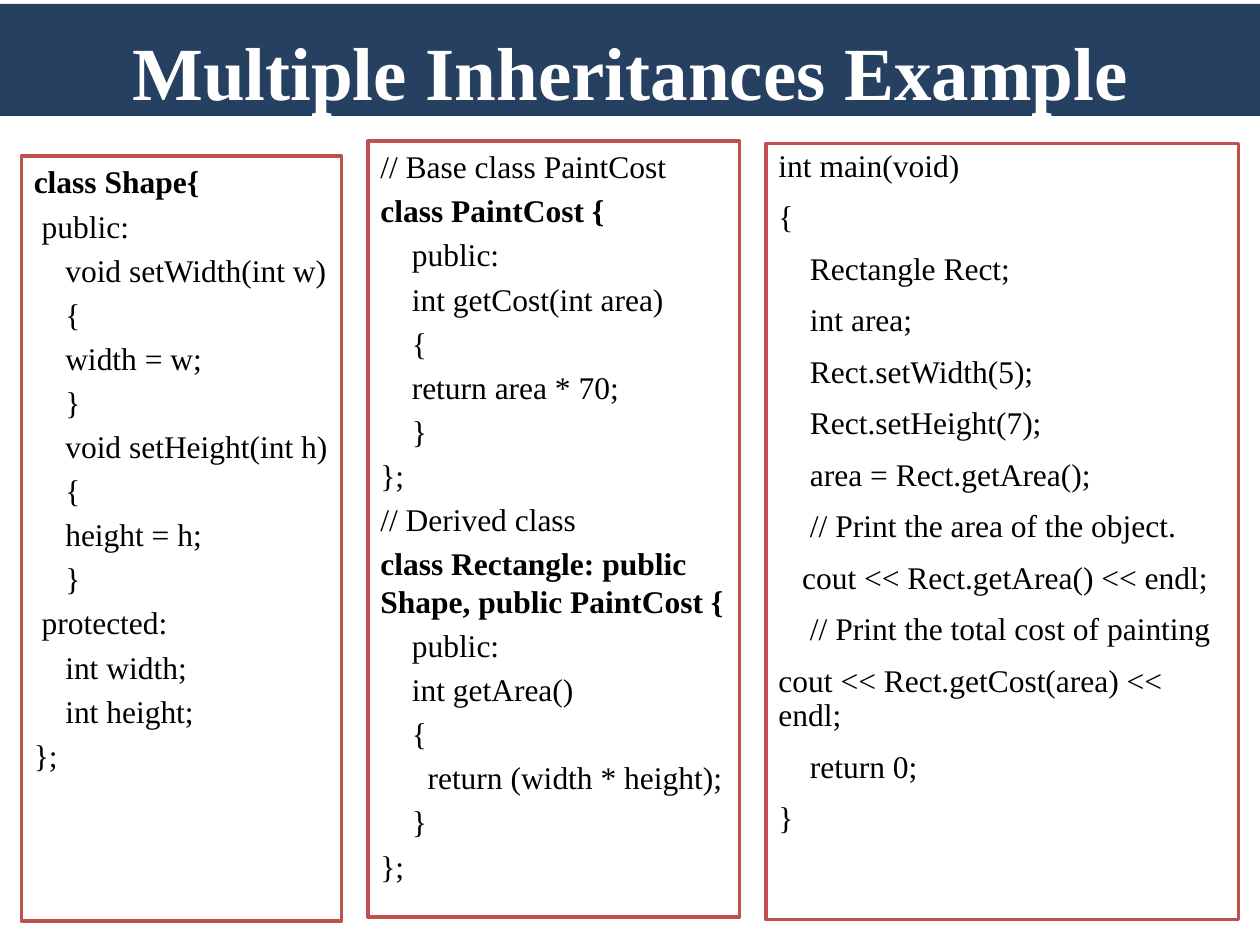
from dataclasses import dataclass

from pptx import Presentation
from pptx.dml.color import RGBColor
from pptx.enum.shapes import MSO_SHAPE
from pptx.enum.text import MSO_ANCHOR, PP_ALIGN
from pptx.util import Inches, Pt

RECT = MSO_SHAPE.RECTANGLE
TOP, BOTTOM = MSO_ANCHOR.TOP, MSO_ANCHOR.BOTTOM
LEFT, CENTER = PP_ALIGN.LEFT, PP_ALIGN.CENTER


@dataclass(frozen=True)
class Theme:
    font: str = "Times New Roman"
    title_size: float = 42.9
    code_size: float = 18
    bar: RGBColor = RGBColor(0x25, 0x40, 0x61)
    border: RGBColor = RGBColor(0xC0, 0x50, 0x4D)
    paper: RGBColor = RGBColor(0xFF, 0xFF, 0xFF)
    ink: RGBColor = RGBColor(0x00, 0x00, 0x00)
    border_width: float = 2
    space_width: float = 0.25  # width of a space, in ems


SHAPE_CLASS = """\
class Shape{
 public:
    void setWidth(int w)
    {
    width = w;
    }
    void setHeight(int h)
    {
    height = h;
    }
 protected:
    int width;
    int height;
};"""

DERIVED_CLASS = """\
// Base class PaintCost
class PaintCost {
    public:
    int getCost(int area)
    {
    return area * 70;
    }
};
// Derived class
class Rectangle: public Shape, public PaintCost {
    public:
    int getArea()
    {
      return (width * height);
    }
};"""

MAIN_PROGRAM = """\
int main(void)
{
    Rectangle Rect;
    int area;
    Rect.setWidth(5);
    Rect.setHeight(7);
    area = Rect.getArea();
    // Print the area of the object.
   cout << Rect.getArea() << endl;
    // Print the total cost of painting
cout << Rect.getCost(area) << endl;
    return 0;
}"""


class SlideBuilder:
    def __init__(self, prs, theme):
        self.theme = theme
        self.slide = prs.slides.add_slide(prs.slide_layouts[5])

    def style_run(self, r, size, color, bold):
        r.font.name = self.theme.font
        r.font.size = Pt(size)
        r.font.color.rgb = color
        r.font.bold = bold

    def title(self, text, left, top, width, height):
        s = self.slide.shapes.title
        s.left, s.top = Inches(left), Inches(top)
        s.width, s.height = Inches(width), Inches(height)
        s.fill.solid()
        s.fill.fore_color.rgb = self.theme.bar
        tf = s.text_frame
        tf.text = text
        tf.word_wrap = True
        tf.vertical_anchor = BOTTOM
        tf.margin_left = tf.margin_right = tf.margin_bottom = 0
        tf.margin_top = Inches(0.05)
        p = tf.paragraphs[0]
        p.alignment = CENTER
        self.style_run(p.runs[0], self.theme.title_size, self.theme.paper, True)

    def code_box(self, code, left, top, width, height,
                 space_before=3.6, line_spacing=1.0):
        t = self.theme
        s = self.slide.shapes.add_shape(
            RECT, Inches(left), Inches(top), Inches(width), Inches(height))
        s.shadow.inherit = False
        s.fill.solid()
        s.fill.fore_color.rgb = t.paper
        s.line.color.rgb = t.border
        s.line.width = Pt(t.border_width)
        tf = s.text_frame
        tf.word_wrap = True
        tf.vertical_anchor = TOP
        tf.margin_right = Inches(0.05)
        for i, line in enumerate(code.splitlines()):
            p = tf.paragraphs[0] if i == 0 else tf.add_paragraph()
            p.text = line.lstrip()
            p.alignment = LEFT
            p.space_before = Pt(space_before)
            p.line_spacing = line_spacing
            # Leading spaces of the code become a paragraph indent
            depth = len(line) - len(p.text)
            indent = Pt(depth * t.space_width * t.code_size)
            p._p.get_or_add_pPr().set("marL", str(indent))
            self.style_run(p.runs[0], t.code_size, t.ink,
                           line.startswith("class "))


def main():
    prs = Presentation()
    prs.slide_width, prs.slide_height = Inches(10), Inches(7.5)
    page = SlideBuilder(prs, Theme())

    # Title bar
    page.title("Multiple Inheritances Example", 0, 0.03, 10, 0.89)

    # Code columns: first base class, second base and derived class, program
    page.code_box(SHAPE_CLASS, 0.17, 1.24, 2.54, 6.07)
    page.code_box(DERIVED_CLASS, 2.92, 1.12, 2.95, 6.16)
    page.code_box(MAIN_PROGRAM, 6.08, 1.14, 3.75, 6.16,
                  space_before=10, line_spacing=0.9)

    prs.save("out.pptx")


if __name__ == "__main__":
    main()
